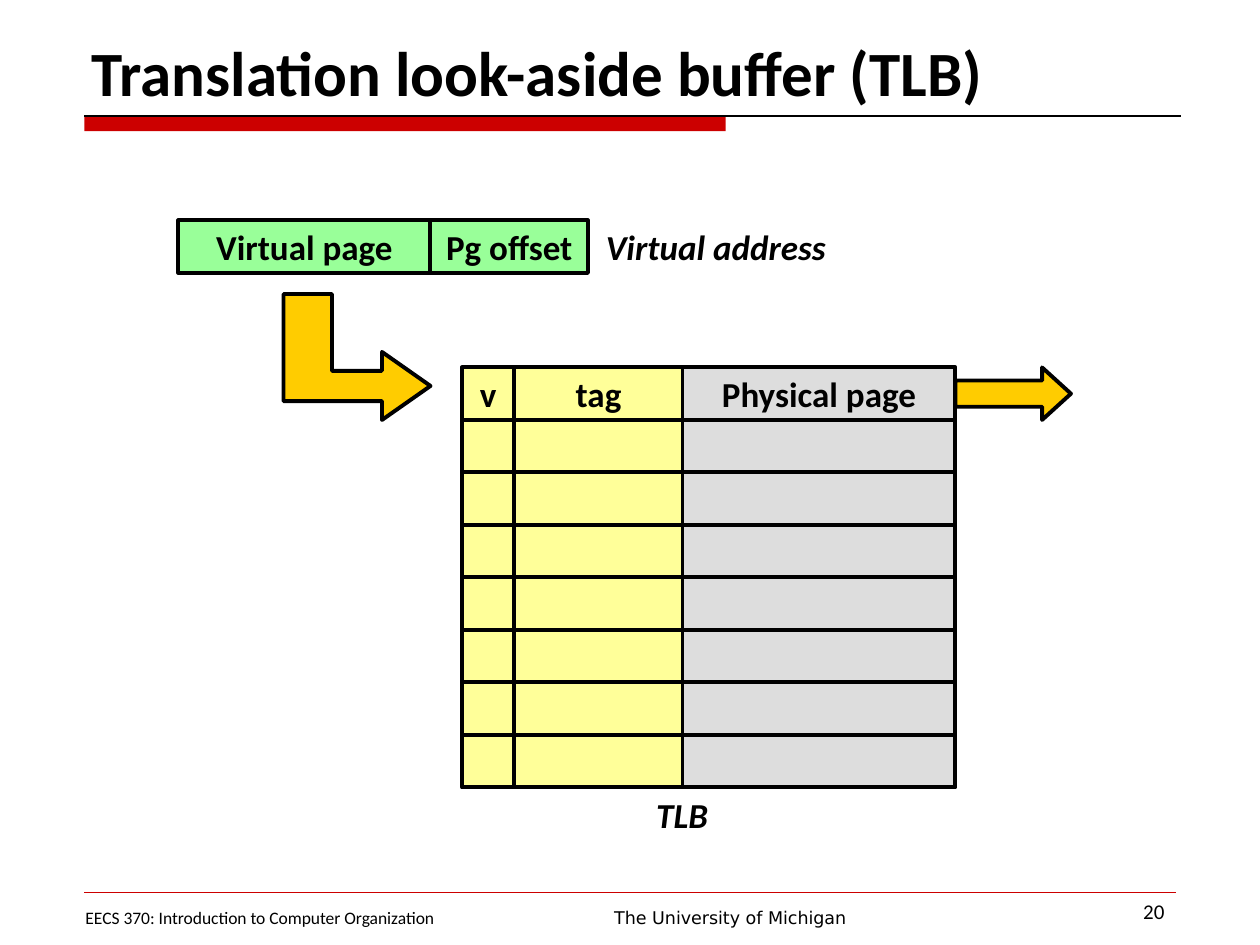
from pptx import Presentation
from pptx.dml.color import RGBColor
from pptx.enum.shapes import MSO_CONNECTOR, MSO_SHAPE
from pptx.enum.text import MSO_ANCHOR, PP_ALIGN
from pptx.oxml.ns import qn
from pptx.util import Inches, Pt
from lxml import etree

RECT, RIGHT_ARROW = MSO_SHAPE.RECTANGLE, MSO_SHAPE.RIGHT_ARROW
LEFT, CENTER, RIGHT = PP_ALIGN.LEFT, PP_ALIGN.CENTER, PP_ALIGN.RIGHT
TOP, MIDDLE, BOTTOM = MSO_ANCHOR.TOP, MSO_ANCHOR.MIDDLE, MSO_ANCHOR.BOTTOM
COLORS = {"black": "000000", "red": "CC0000", "green": "99FF99",
          "yellow": "FFFF99", "gray": "DDDDDD", "gold": "FFCC00"}
FONT = "Calibri"
ROW = 5  # height of one field, in grid units


def grid(*units):
    """Turn grid units of a twelfth of an inch into lengths."""
    return [Inches(u / 12) for u in units]


def rgb(name):
    return RGBColor.from_string(COLORS[name])


def write(s, text, size, align=LEFT, anchor=TOP, bold=False, italic=False,
          font=FONT, wrap=True):
    tf = s.text_frame
    tf.word_wrap = wrap
    tf.vertical_anchor = anchor
    p = tf.paragraphs[0]
    p.alignment = align
    r = p.add_run()
    r.text = text
    r.font.name, r.font.size = font, Pt(size)
    r.font.bold, r.font.italic = bold, italic
    r.font.color.rgb = rgb("black")


def paint(s, fill):
    s.shadow.inherit = False
    s.fill.solid()
    s.fill.fore_color.rgb = rgb(fill)
    s.line.color.rgb = rgb("black")
    s.line.width = Pt(2.25)


def add_rule(shapes, x1, x2, y, color, width):
    line = shapes.add_connector(MSO_CONNECTOR.STRAIGHT, Inches(x1), Inches(y),
                                Inches(x2), Inches(y))
    line.line.color.rgb = rgb(color)
    line.line.width = Pt(width)
    etree.SubElement(line._element.spPr, qn("a:effectLst"))


def add_label(shapes, box, text, size, **style):
    s = shapes.add_textbox(*(Inches(v) for v in box))
    write(s, text, size, **style)


def add_field(shapes, x, y, width, fill, text=""):
    s = shapes.add_shape(RECT, *grid(x, y, width, ROW))
    paint(s, fill)
    if text:
        write(s, text, 20, CENTER, MIDDLE, bold=True, wrap=False)


def add_header(shapes, title):
    s = shapes.title
    s.left, s.top, s.width, s.height = (Inches(v) for v in (0.63, 0, 8.75, 0.92))
    write(s, title, 36, anchor=BOTTOM, bold=True)
    bar = shapes.add_shape(RECT, *(Inches(v) for v in (0.67, 0.92, 5.09, 0.12)))
    paint(bar, "red")
    bar.line.fill.background()
    add_rule(shapes, 0.67, 9.37, 0.92, "black", 0.75)


def add_footer(shapes):
    add_rule(shapes, 0.67, 9.33, 7.08, "red", 0.25)
    add_label(shapes, (0.58, 7.15, 3.08, 0.52),
              "EECS 370: Introduction to Computer Organization", 10)
    add_label(shapes, (3.92, 7.15, 3.75, 0.27), "The University of Michigan", 10,
              align=CENTER, font="DejaVu Sans")
    add_label(shapes, (7.67, 7.08, 1.67, 0.52), "20", 12, align=RIGHT)


def add_virtual_address(shapes, x, y):
    for text, width in (("Virtual page", 24), ("Pg offset", 15)):
        add_field(shapes, x, y, width, "green", text)
        x += width
    add_label(shapes, (4.71, 1.74, 1.96, 0.44), "Virtual address", 20,
              bold=True, italic=True, wrap=False)


def add_tlb(shapes, x, y, rows):
    columns = (("v", 5, "yellow"), ("tag", 16, "yellow"),
               ("Physical page", 26, "gray"))
    for row in range(rows):
        left = x
        for heading, width, fill in columns:
            add_field(shapes, left, y + row * ROW, width, fill,
                      heading if row == 0 else "")
            left += width
    add_label(shapes, (5.11, 6.25, 0.62, 0.44), "TLB", 20,
              bold=True, italic=True, wrap=False)
    arrow = shapes.add_shape(RIGHT_ARROW, *grid(left, y, 11, ROW))
    arrow.adjustments[0], arrow.adjustments[1] = 0.5, 0.55
    paint(arrow, "gold")


def add_bent_arrow(shapes, x, y, width, height):
    """Outline given as shares of the box: down, then right to the tip."""
    outline = ((1, 0.73), (0.67, 0.46), (0.67, 0.61), (0.33, 0.61), (0.33, 0),
               (0, 0), (0, 0.85), (0.67, 0.85), (0.67, 1))
    left, top, w, h = grid(x, y, width, height)
    points = [(left + sx * w, top + sy * h) for sx, sy in outline]
    builder = shapes.build_freeform(*points[0])
    builder.add_line_segments(points[1:], close=True)
    paint(builder.convert_to_shape(), "gold")


def main():
    prs = Presentation()
    prs.slide_width, prs.slide_height = Inches(10), Inches(7.5)
    shapes = prs.slides.add_slide(prs.slide_layouts[5]).shapes
    add_header(shapes, "Translation look-aside buffer (TLB)")
    add_virtual_address(shapes, 17, 21)
    add_bent_arrow(shapes, 27, 28, 14, 12)
    add_tlb(shapes, 44, 35, 8)
    add_footer(shapes)
    prs.save("out.pptx")


if __name__ == "__main__":
    main()
